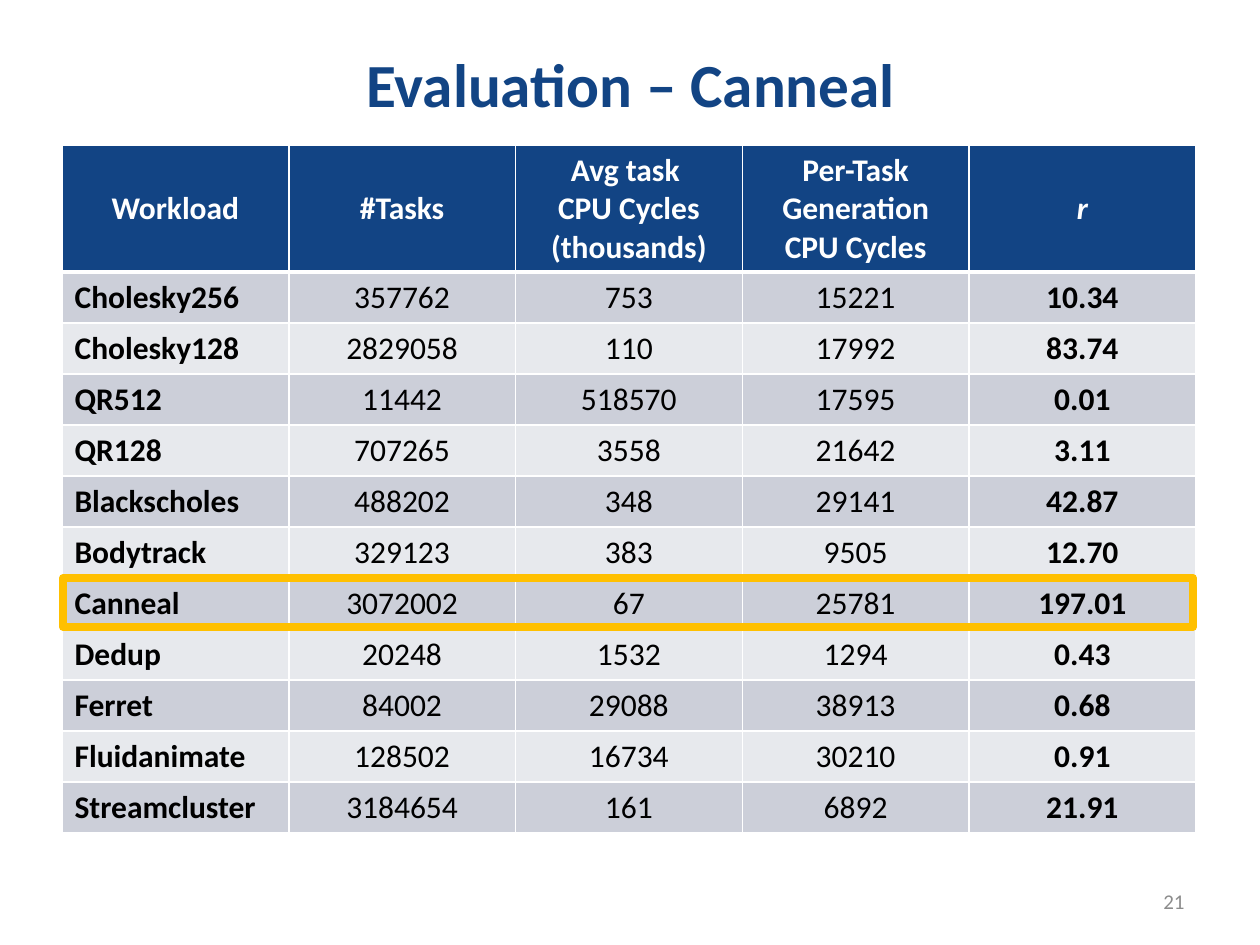
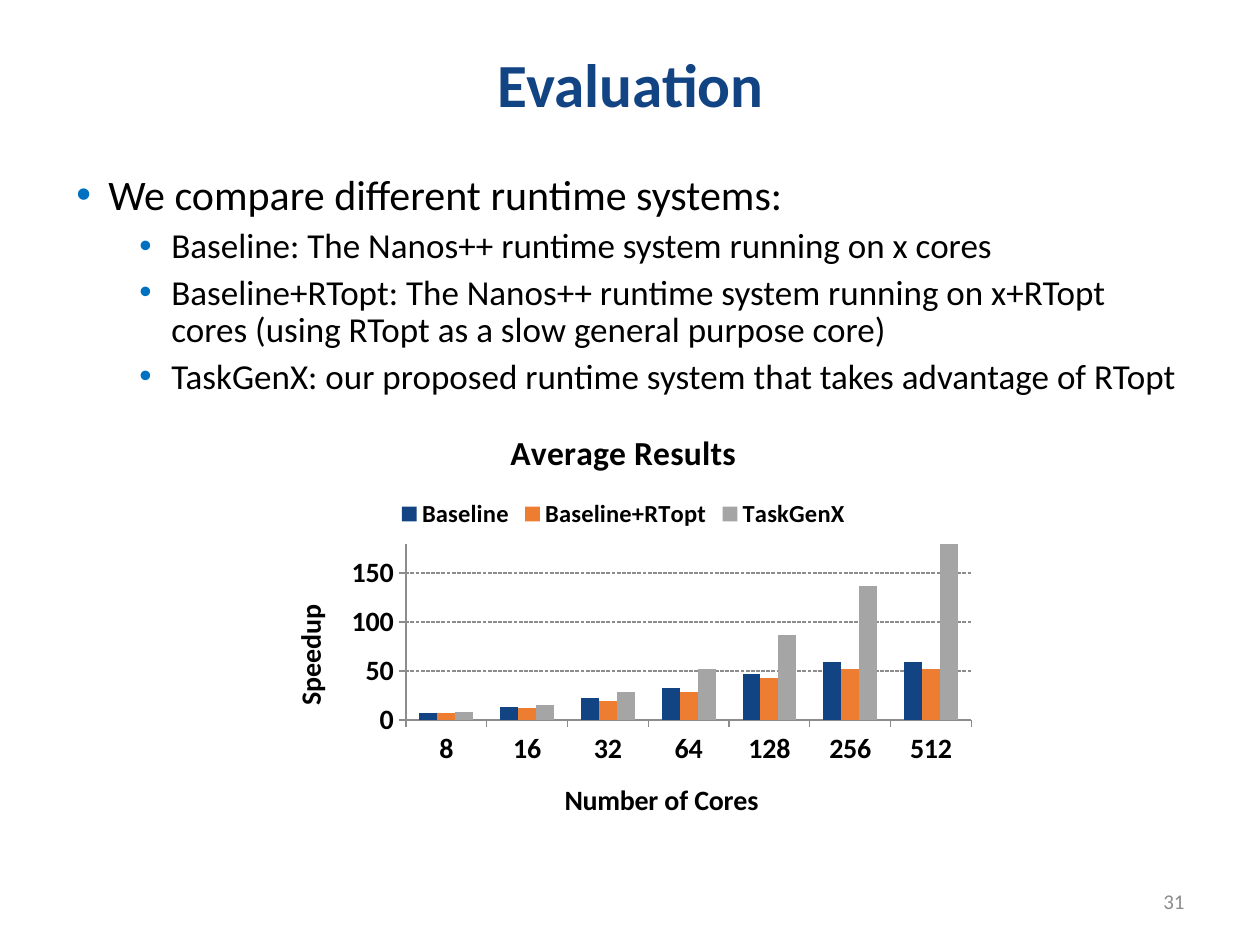
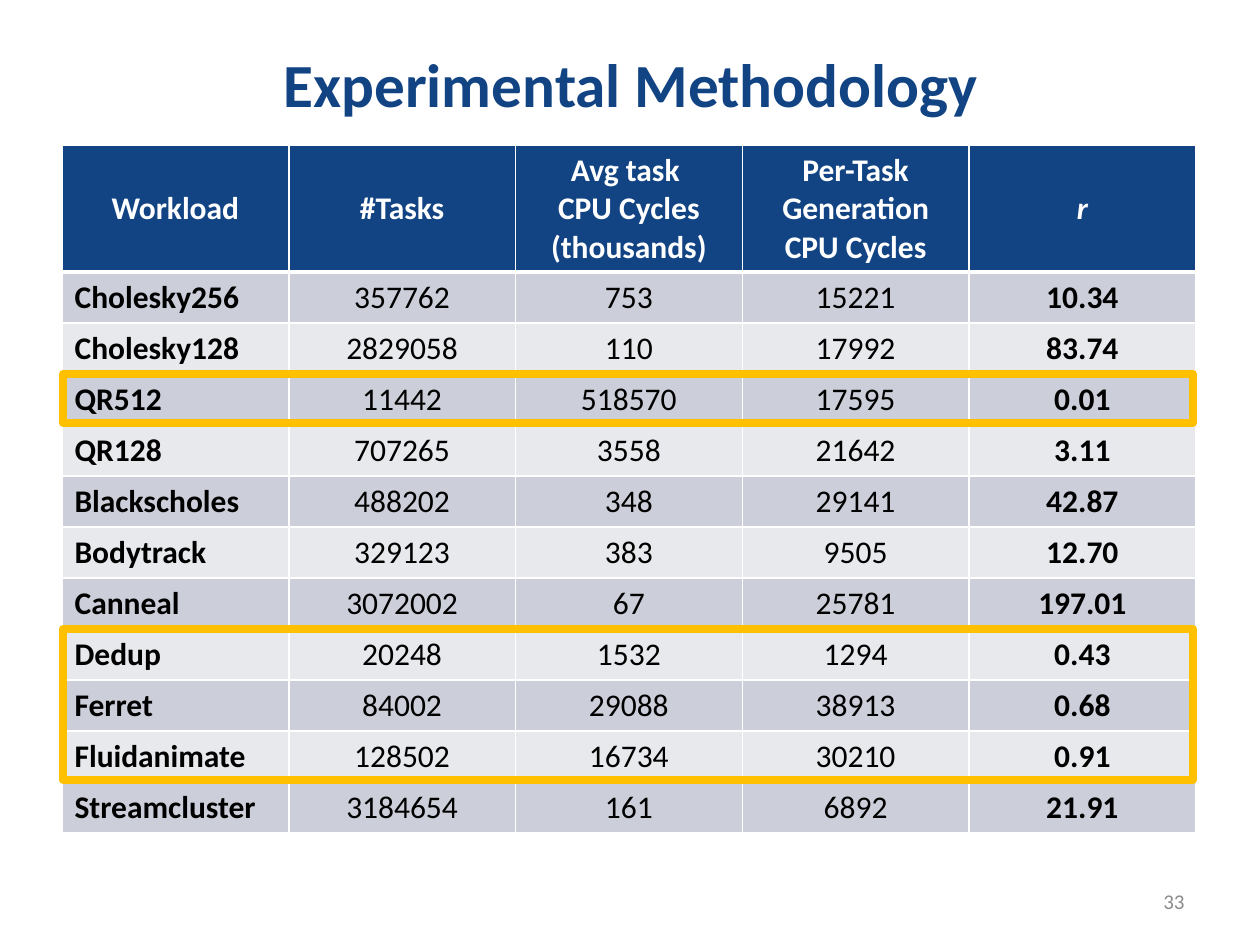
import pptx
import pptx.chart.data
import pptx.dml.color
import pptx.enum.chart
import pptx.enum.dml
import pptx.enum.shapes
import pptx.enum.text
import pptx.oxml
import pptx.oxml.ns
import pptx.util

SCALE = 914400 // 126
FONT = "Calibri"
COLORS = {
    "navy": "124484", "white": "FFFFFF", "black": "000000", "grey": "8C8C8C",
    "band_dark": "CCCFD9", "band_light": "E7E9ED", "bullet": "0070C0",
    "highlight": "FFC000", "orange": "ED7D31", "silver": "A5A5A5",
}
ALIGN = pptx.enum.text.PP_ALIGN
ANCHOR = pptx.enum.text.MSO_ANCHOR

TITLE_BOX = (64, 30, 1134, 116)
NUMBER_BOX = (903, 876, 294, 50)
TABLE_BOX = (62, 145, 1134, 688)
BODY_BOX = (64, 168, 1134, 667)
CHART_BOX = (261, 407, 725, 441)
HEADER_H, ROW_H = 127, 51

HEADERS = ["Workload", "#Tasks", "Avg task \vCPU Cycles\v(thousands)",
           "Per-Task Generation CPU Cycles", "r"]
WORKLOADS = [
    ("Cholesky256", "357762", "753", "15221", "10.34"),
    ("Cholesky128", "2829058", "110", "17992", "83.74"),
    ("QR512", "11442", "518570", "17595", "0.01"),
    ("QR128", "707265", "3558", "21642", "3.11"),
    ("Blackscholes", "488202", "348", "29141", "42.87"),
    ("Bodytrack", "329123", "383", "9505", "12.70"),
    ("Canneal", "3072002", "67", "25781", "197.01"),
    ("Dedup", "20248", "1532", "1294", "0.43"),
    ("Ferret", "84002", "29088", "38913", "0.68"),
    ("Fluidanimate", "128502", "16734", "30210", "0.91"),
    ("Streamcluster", "3184654", "161", "6892", "21.91"),
]
BULLETS = [
    (0, "We compare different runtime systems:"),
    (1, "Baseline: The Nanos++ runtime system running on x cores"),
    (1, "Baseline+RTopt: The Nanos++ runtime system running on x+RTopt cores "
        "(using RTopt as a slow general purpose core)"),
    (1, "TaskGenX: our proposed runtime system that takes advantage of RTopt"),
]
LEVELS = [dict(indent=32, before=10, size=24), dict(indent=95, before=5, size=20)]
CORES = ["8", "16", "32", "64", "128", "256", "512"]
SPEEDUPS = [
    ("Baseline", "navy", (7, 13, 22, 33, 47, 59, 59)),
    ("Baseline+RTopt", "orange", (7, 12, 19, 29, 43, 52, 52)),
    ("TaskGenX", "silver", (8, 15, 29, 52, 87, 137, 183)),
]


def px(*lengths):
    """Turn pixel lengths into EMU."""
    return [pptx.util.Emu(round(n * SCALE)) for n in lengths]


def rgb(name):
    """Return the named colour."""
    return pptx.dml.color.RGBColor.from_string(COLORS[name])


def set_font(font, color="black", **values):
    """Apply a colour and a dict of format values to a font."""
    font.color.rgb = rgb(color)
    values["size"] = pptx.util.Pt(values["size"])
    for key, value in {"name": FONT, **values}.items():
        setattr(font, key, value)


def write(p, text, align=ALIGN.LEFT, **font):
    """Fill a paragraph with text in one format."""
    p.text = text
    p.alignment = align
    for r in p.runs:
        set_font(r.font, **font)


def add_box(s, box, anchor=ANCHOR.TOP):
    """Add a wrapping text box and return its text frame."""
    tf = s.shapes.add_textbox(*px(*box)).text_frame
    tf.word_wrap = True
    tf.vertical_anchor = anchor
    return tf


def add_page(prs, title, number):
    """Add a slide with its title and slide number."""
    s = prs.slides.add_slide(prs.slide_layouts[6])
    p = add_box(s, TITLE_BOX, ANCHOR.MIDDLE).paragraphs[0]
    p.line_spacing = 0.9
    write(p, title, ALIGN.CENTER, size=35, color="navy", bold=True)
    p = add_box(s, NUMBER_BOX, ANCHOR.MIDDLE).paragraphs[0]
    write(p, str(number), ALIGN.RIGHT, size=12, color="grey")
    return s


def set_borders(cell, row):
    """Draw white cell borders, thicker under the header row."""
    tcPr = cell._tc.get_or_add_tcPr()
    for side in "LRTB":
        width = 3 if (side, row) in (("B", 0), ("T", 1)) else 1
        tcPr.append(pptx.oxml.parse_xml(
            f'<a:ln{side} {pptx.oxml.ns.nsdecls("a")} w="{pptx.util.Pt(width)}">'
            f'<a:solidFill><a:srgbClr val="{COLORS["white"]}"/></a:solidFill></a:ln{side}>'))


def add_workloads(s, box):
    """Add the table of workloads."""
    rows = [HEADERS, *WORKLOADS]
    table = s.shapes.add_table(len(rows), len(HEADERS), *px(*box)).table
    for column in table.columns:
        column.width = px(box[2] / len(HEADERS))[0]
    for i, row in enumerate(rows):
        header = i == 0
        table.rows[i].height = px(HEADER_H if header else ROW_H)[0]
        fill = "navy" if header else "band_dark" if i % 2 else "band_light"
        for j, text in enumerate(row):
            cell = table.cell(i, j)
            set_borders(cell, i)
            cell.fill.solid()
            cell.fill.fore_color.rgb = rgb(fill)
            cell.vertical_anchor = ANCHOR.MIDDLE if header else ANCHOR.TOP
            write(cell.text_frame.paragraphs[0], text,
                  ALIGN.CENTER if header or j else ALIGN.LEFT,
                  size=18, color="white" if header else "black",
                  bold=header or j in (0, len(row) - 1), italic=text == "r")


def add_highlight(s, box, first, last):
    """Frame the rows between two named workloads."""
    names = [row[0] for row in WORKLOADS]
    start, end = names.index(first), names.index(last) + 1
    x, y, w, _ = box
    sp = s.shapes.add_shape(
        pptx.enum.shapes.MSO_SHAPE.RECTANGLE,
        *px(x + 1, y + HEADER_H + start * ROW_H, w - 4, (end - start) * ROW_H - 2))
    sp.shadow.inherit = False
    sp.fill.background()
    sp.line.color.rgb = rgb("highlight")
    sp.line.width = pptx.util.Pt(4.5)


def add_bullets(s, box):
    """Add the bulleted list of runtime systems."""
    tf = add_box(s, box)
    for i, (level, text) in enumerate(BULLETS):
        p = tf.add_paragraph() if i else tf.paragraphs[0]
        style = LEVELS[level]
        p.level = level
        p.line_spacing = 0.9
        p.space_before = pptx.util.Pt(style["before"])
        write(p, text, size=style["size"])
        pPr = p._p.get_or_add_pPr()
        pPr.set("marL", str(px(style["indent"])[0]))
        pPr.set("indent", str(px(-32)[0]))
        for inner in (f'buClr {{}}><a:srgbClr val="{COLORS["bullet"]}"/></a:buClr>',
                      'buFont {} typeface="Arial"/>', 'buChar {} char="•"/>'):
            pPr.append(pptx.oxml.parse_xml("<a:" + inner.format(pptx.oxml.ns.nsdecls("a"))))


def style_axis(axis, title):
    """Title an axis and set its lines and labels."""
    write(axis.axis_title.text_frame.paragraphs[0], title, ALIGN.CENTER, size=16, bold=True)
    set_font(axis.tick_labels.font, size=16, bold=True)
    axis.major_tick_mark = pptx.enum.chart.XL_TICK_MARK.OUTSIDE
    axis.format.line.color.rgb = rgb("grey")


def set_plot_area(chart, **area):
    """Fix the inner plot area as fractions of the chart."""
    plot = chart._chartSpace.chart.plotArea
    for old in plot.findall(pptx.oxml.ns.qn("c:layout")):
        plot.remove(old)
    sizes = "".join(f'<c:{key} val="{value}"/>' for key, value in area.items())
    plot.insert(0, pptx.oxml.parse_xml(
        f'<c:layout {pptx.oxml.ns.nsdecls("c")}><c:manualLayout>'
        '<c:layoutTarget val="inner"/><c:xMode val="edge"/><c:yMode val="edge"/>'
        f'{sizes}</c:manualLayout></c:layout>'))


def add_speedups(s, box):
    """Add the column chart of average speedups."""
    data = pptx.chart.data.CategoryChartData()
    data.categories = CORES
    for name, _, values in SPEEDUPS:
        data.add_series(name, values)
    chart = s.shapes.add_chart(
        pptx.enum.chart.XL_CHART_TYPE.COLUMN_CLUSTERED, *px(*box), data).chart
    set_font(chart.font, size=16, bold=True)
    write(chart.chart_title.text_frame.paragraphs[0], "Average Results",
          ALIGN.CENTER, size=19.2, bold=True)
    chart.has_legend = True
    chart.legend.position = pptx.enum.chart.XL_LEGEND_POSITION.TOP
    chart.legend.include_in_layout = False
    set_font(chart.legend.font, size=14, bold=True)
    plot = chart.plots[0]
    plot.vary_by_categories = False
    plot.gap_width = 150
    plot.overlap = 0
    for series, (_, color, _) in zip(plot.series, SPEEDUPS):
        series.format.fill.solid()
        series.format.fill.fore_color.rgb = rgb(color)
    style_axis(chart.category_axis, "Number of Cores")
    axis = chart.value_axis
    style_axis(axis, "Speedup")
    for key, value in dict(minimum_scale=0, maximum_scale=180, major_unit=50).items():
        setattr(axis, key, value)
    grid = axis.major_gridlines.format.line
    grid.color.rgb = rgb("grey")
    grid.width = pptx.util.Pt(0.75)
    grid.dash_style = pptx.enum.dml.MSO_LINE.SQUARE_DOT
    set_plot_area(chart, x=0.2, y=0.31, w=0.78, h=0.4)


def add_table_slide(prs, title, number, highlights):
    """Add a slide with the workload table and framed rows."""
    s = add_page(prs, title, number)
    add_workloads(s, TABLE_BOX)
    for first, last in highlights:
        add_highlight(s, TABLE_BOX, first, last)


def add_chart_slide(prs, title, number):
    """Add a slide with bullets above a chart."""
    s = add_page(prs, title, number)
    add_bullets(s, BODY_BOX)
    add_speedups(s, CHART_BOX)


prs = pptx.Presentation()
prs.slide_width, prs.slide_height = px(1260, 945)
add_table_slide(prs, "Evaluation – Canneal", 21, [("Canneal", "Canneal")])
add_chart_slide(prs, "Evaluation", 31)
add_table_slide(prs, "Experimental Methodology", 33,
                [("Dedup", "Fluidanimate"), ("QR512", "QR512")])
prs.save("out.pptx")
